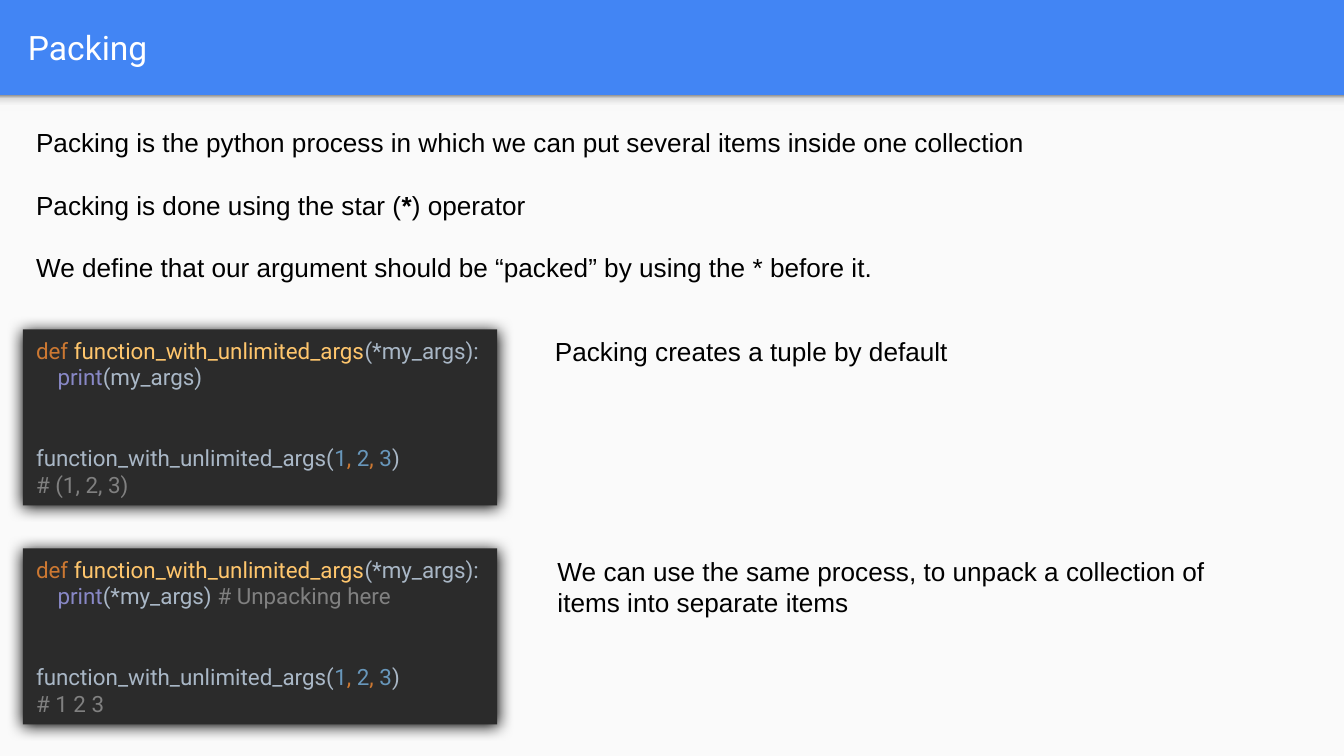
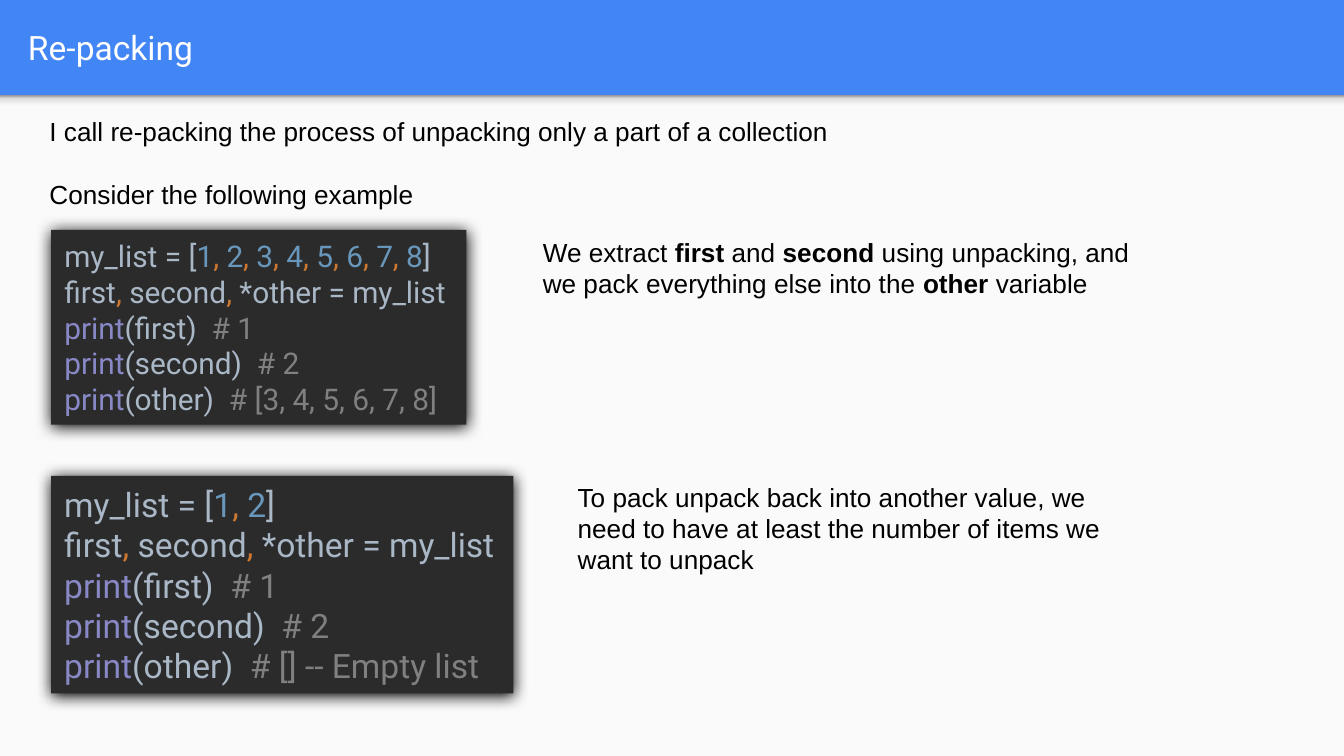
import pptx
import pptx.dml.color
import pptx.enum.shapes
import pptx.enum.text
import pptx.oxml
import pptx.oxml.ns
import pptx.util

Inches = pptx.util.Inches
Pt = pptx.util.Pt

BLUE, PAPER, WHITE, BLACK, EDITOR = "4285F4", "FAFAFA", "FFFFFF", "000000", "2B2B2B"
KEYWORD, FUNCTION, PLAIN = "CC7832", "FFC66D", "A9B7C6"
BUILTIN, NUMBER, COMMENT = "8888C6", "6897BB", "808080"
BAND_FADE = [(0, "F9F9F9"), (36, "F9F9F9"), (80, "DEDEDE"), (100, "999999")]
BLANK_LINE = 1.2
CODE_INDENT = 0.16
PARAGRAPH_GAP = 16.8


def rgb(code):
    """Return the colour for a hex string."""
    return pptx.dml.color.RGBColor.from_string(code)


def add_run(paragraph, text, font, size, color, bold=False):
    """Add one formatted run to a paragraph."""
    run = paragraph.add_run()
    run.text = text
    run.font.name = font
    run.font.size = Pt(size)
    run.font.bold = bold
    run.font.color.rgb = rgb(color)


def next_paragraph(frame, index):
    """Return the first paragraph of a frame, or a new one."""
    return frame.paragraphs[0] if index == 0 else frame.add_paragraph()


def add_rectangle(slide, box, color):
    """Draw a plain filled rectangle."""
    rectangle = slide.shapes.add_shape(
        pptx.enum.shapes.MSO_SHAPE.RECTANGLE, *map(Inches, box))
    rectangle.shadow.inherit = False
    rectangle.fill.solid()
    rectangle.fill.fore_color.rgb = rgb(color)
    rectangle.line.fill.background()
    return rectangle


def add_fade(slide, box):
    """Draw the soft shade under the title band."""
    fade = add_rectangle(slide, box, PAPER)
    fade.fill.gradient()
    fade.fill.gradient_angle = 90
    stops = fade._element.spPr.find(".//" + pptx.oxml.ns.qn("a:gsLst"))
    for stop in list(stops):
        stops.remove(stop)
    for position, color in BAND_FADE:
        stops.append(pptx.oxml.parse_xml(
            f'<a:gs {pptx.oxml.ns.nsdecls("a")} pos="{position * 1000}">'
            f'<a:srgbClr val="{color}"/></a:gs>'))


def add_glow(panel):
    """Give a code panel its dark blurred shadow."""
    effects = panel._element.spPr.find(pptx.oxml.ns.qn("a:effectLst"))
    effects.append(pptx.oxml.parse_xml(
        f'<a:outerShdw {pptx.oxml.ns.nsdecls("a")} blurRad="{Pt(8.5)}" dist="{Pt(1)}" '
        f'dir="5400000" algn="t" rotWithShape="0"><a:srgbClr val="{BLACK}"/></a:outerShdw>'))


def add_titled_slide(deck, title):
    """Add a slide with the blue title band and the pale body."""
    slide = deck.slides.add_slide(deck.slide_layouts[6])
    slide.background.fill.solid()
    slide.background.fill.fore_color.rgb = rgb(BLUE)
    add_rectangle(slide, (0, 0.72, 10, 4.91), PAPER)
    add_fade(slide, (0, 0.71, 10, 0.12))
    heading = slide.shapes.add_textbox(*map(Inches, (0.11, 0.02, 9.65, 0.66))).text_frame
    heading.word_wrap = True
    heading.vertical_anchor = pptx.enum.text.MSO_ANCHOR.MIDDLE
    heading.margin_top = heading.margin_bottom = Inches(0.1)
    add_run(heading.paragraphs[0], title, "Roboto", 18, WHITE)
    return slide


def add_prose(slide, box, *paragraphs):
    """Add spaced paragraphs, where every second part split by | is bold."""
    frame = slide.shapes.add_textbox(*map(Inches, box)).text_frame
    frame.word_wrap = True
    frame.auto_size = pptx.enum.text.MSO_AUTO_SIZE.SHAPE_TO_FIT_TEXT
    for index, text in enumerate(paragraphs):
        paragraph = next_paragraph(frame, index)
        if index:
            paragraph.space_before = Pt(PARAGRAPH_GAP)
        for part, words in enumerate(text.split("|")):
            add_run(paragraph, words, "Arial", 14, BLACK, bold=part % 2 == 1)


def add_code(slide, box, size, lines):
    """Add a code panel from (indent level, blank lines before, runs) lines."""
    panel = add_rectangle(slide, box, EDITOR)
    add_glow(panel)
    frame = panel.text_frame
    frame.word_wrap = False
    frame.auto_size = pptx.enum.text.MSO_AUTO_SIZE.SHAPE_TO_FIT_TEXT
    frame.vertical_anchor = pptx.enum.text.MSO_ANCHOR.MIDDLE
    for index, (level, blanks, runs) in enumerate(lines):
        paragraph = next_paragraph(frame, index)
        paragraph.alignment = pptx.enum.text.PP_ALIGN.LEFT
        paragraph.space_before = Pt(blanks * size * BLANK_LINE)
        paragraph._p.get_or_add_pPr().set("marL", str(Inches(level * CODE_INDENT)))
        for text, color in runs:
            add_run(paragraph, text, "Roboto", size, color)


def separated(items, color):
    """Return runs for the items with coloured commas between them."""
    runs = []
    for item in items:
        runs += [(", ", KEYWORD), (item, color)]
    return runs[1:]


def packing_code(argument, note, result):
    """Return the lines of a function that takes unlimited arguments."""
    name = "function_with_unlimited_args"
    return [
        (0, 0, [("def ", KEYWORD), (name, FUNCTION), ("(*my_args):", PLAIN)]),
        (1, 0, [("print", BUILTIN), (f"({argument})", PLAIN)] + note),
        (0, 2, [(name + "(", PLAIN)] + separated("123", NUMBER) + [(")", PLAIN)]),
        (0, 0, [(result, COMMENT)]),
    ]


def repacking_code(numbers, rest):
    """Return the lines that unpack a list into first, second and other."""
    prints = [("first", "# 1"), ("second", "# 2"), ("other", rest)]
    return [
        (0, 0, [("my_list = [", PLAIN)] + separated(numbers, NUMBER) + [("]", PLAIN)]),
        (0, 0, separated(["first", "second", "*other = my_list"], PLAIN)),
    ] + [(0, 0, [("print", BUILTIN), (f"({name})  ", PLAIN), (output, COMMENT)])
         for name, output in prints]


def add_packing_slide(deck):
    """Build the slide on packing."""
    slide = add_titled_slide(deck, "Packing")
    add_prose(slide, (0.17, 0.89, 9.37, 1.28),
              "Packing is the python process in which we can put several items inside one collection",
              "Packing is done using the star (|*|) operator",
              "We define that our argument should be “packed” by using the * before it.")
    add_code(slide, (0.17, 2.45, 3.53, 1.31), 12, packing_code("my_args", [], "# (1, 2, 3)"))
    add_prose(slide, (4.03, 2.45, 4.55, 0.34), "Packing creates a tuple by default")
    add_code(slide, (0.17, 4.08, 3.53, 1.31), 12,
             packing_code("*my_args", [(" ", PLAIN), ("# Unpacking here", COMMENT)], "# 1 2 3"))
    add_prose(slide, (4.05, 4.08, 5.36, 0.57),
              "We can use the same process, to unpack a collection of items into separate items")


def add_repacking_slide(deck):
    """Build the slide on re-packing."""
    slide = add_titled_slide(deck, "Re-packing")
    add_prose(slide, (0.27, 0.81, 9.34, 1.28),
              "I call re-packing the process of unpacking only a part of a collection",
              "Consider the following example")
    add_code(slide, (0.38, 1.71, 3.09, 1.45), 16,
             repacking_code("12345678", "# [3, 4, 5, 6, 7, 8]"))
    add_prose(slide, (3.94, 1.71, 4.71, 0.57),
              "We extract |first| and |second| using unpacking, "
              "and we pack everything else into the |other| variable")
    add_code(slide, (0.38, 3.54, 3.44, 1.62), 18, repacking_code("12", "# [] -- Empty list"))
    add_prose(slide, (4.2, 3.53, 4.26, 0.81),
              "To pack unpack back into another value, we need to have "
              "at least the number of items we want to unpack")


def main():
    """Build and save the widescreen deck."""
    deck = pptx.Presentation()
    deck.slide_width = Inches(10)
    deck.slide_height = deck.slide_width * 9 // 16
    add_packing_slide(deck)
    add_repacking_slide(deck)
    deck.save("out.pptx")


if __name__ == "__main__":
    main()
